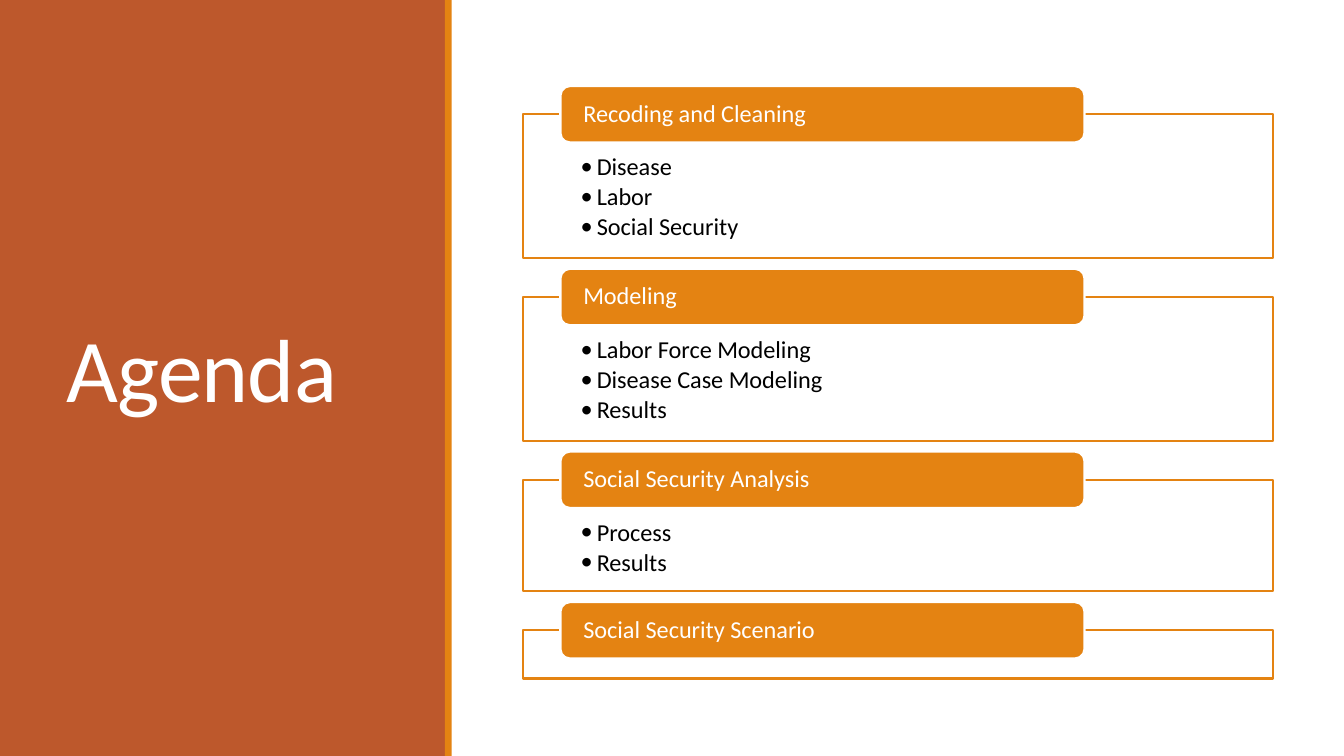
from lxml import etree
from pptx import Presentation
from pptx.dml.color import RGBColor
from pptx.enum.shapes import MSO_SHAPE
from pptx.enum.text import MSO_ANCHOR, PP_ALIGN
from pptx.oxml.ns import qn
from pptx.util import Inches, Pt

RECT, ROUNDED = MSO_SHAPE.RECTANGLE, MSO_SHAPE.ROUNDED_RECTANGLE
TOP, MIDDLE = MSO_ANCHOR.TOP, MSO_ANCHOR.MIDDLE
LEFT = PP_ALIGN.LEFT

FONT = "Calibri"
COLORS = {"rust": "BD582C", "orange": "E48312", "white": "FFFFFF", "black": "000000"}
SLIDE_WIDTH = 10
SLIDE_HEIGHT = SLIDE_WIDTH * 9 / 16
SECTIONS = [  # heading, items, top of frame, height of frame
    ("Recoding and Cleaning", ["Disease", "Labor", "Social Security"], 0.85, 1.07),
    ("Modeling", ["Labor Force Modeling", "Disease Case Modeling", "Results"], 2.21, 1.07),
    ("Social Security Analysis", ["Process", "Results"], 3.57, 0.83),
    ("Social Security Scenario", [], 4.69, 0.36),
]

prs = Presentation()
prs.slide_width, prs.slide_height = Inches(SLIDE_WIDTH), Inches(SLIDE_HEIGHT)
slide = prs.slides.add_slide(prs.slide_layouts[6])


def add_block(kind, left, top, width, height, fill, line=None):
    block = slide.shapes.add_shape(
        kind, Inches(left), Inches(top), Inches(width), Inches(height))
    block.shadow.inherit = False
    block.fill.solid()
    block.fill.fore_color.rgb = RGBColor.from_string(COLORS[fill])
    if line:
        block.line.color.rgb = RGBColor.from_string(COLORS[line])
        block.line.width = Pt(1.25)
    else:
        block.line.fill.background()
    return block


def write_lines(shape, lines, size, color, anchor, insets, spacing, after=0):
    frame = shape.text_frame
    frame.word_wrap = True
    frame.vertical_anchor = anchor
    (frame.margin_left, frame.margin_top,
     frame.margin_right, frame.margin_bottom) = [Inches(inset) for inset in insets]
    for i, line in enumerate(lines):
        paragraph = frame.add_paragraph() if i else frame.paragraphs[0]
        paragraph.alignment = LEFT
        paragraph.line_spacing = spacing
        paragraph.space_after = Pt(after)
        run = paragraph.add_run()
        run.text = line
        run.font.size = Pt(size)
        run.font.name = FONT
        run.font.color.rgb = RGBColor.from_string(COLORS[color])
    return frame.paragraphs


# Side panel with title
add_block(RECT, 0, 0, 3.32, SLIDE_HEIGHT, "rust")
title = slide.shapes.add_textbox(Inches(0.4), Inches(0.42), Inches(2.53), Inches(4.74))
title_line = write_lines(title, ["Agenda"], 48, "white", MIDDLE, (0.1, 0.05, 0.1, 0.05), 0.85)[0]
title_line.runs[0].font._element.set("spc", "-50")
add_block(RECT, 3.31, 0, 0.05, SLIDE_HEIGHT, "orange")

# Agenda sections: outlined frame with a heading tab over its top edge
for heading, items, top, height in SECTIONS:
    frame_box = add_block(RECT, 3.89, top, 5.58, height, "white", "orange")
    fill_color = frame_box.fill._xPr.find(qn("a:solidFill"))[0]
    etree.SubElement(fill_color, qn("a:alpha"), val="90000")
    if items:
        for bullet in write_lines(frame_box, items, 13, "black", TOP,
                                  (0.43, 0.3, 0.43, 0.1), 0.9, 2):
            properties = bullet._p.get_or_add_pPr()
            properties.set("marL", str(Inches(0.12)))
            properties.set("indent", str(-Inches(0.12)))
            etree.SubElement(properties, qn("a:buFont"), typeface=FONT)
            etree.SubElement(properties, qn("a:buChar"), char="•")

    tab = add_block(ROUNDED, 4.17, top - 0.21, 3.9, 0.42, "orange", "white")
    write_lines(tab, [heading], 13, "white", MIDDLE, (0.15, 0, 0.15, 0), 0.9)

prs.save("out.pptx")
